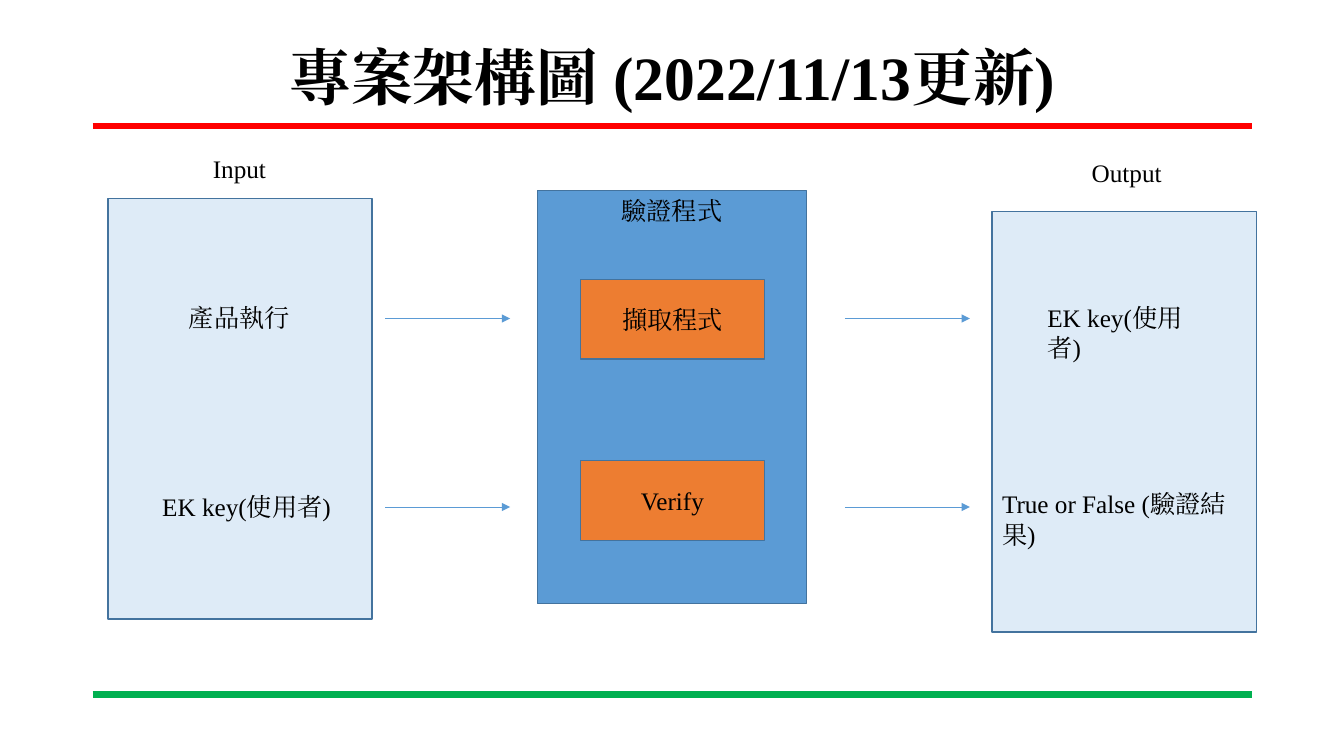
"""Build the project architecture slide: input, verification program, output."""
from lxml import etree
from pptx import Presentation
from pptx.dml.color import RGBColor
from pptx.enum import shapes, text
from pptx.oxml.ns import qn
from pptx.util import Inches, Pt

FONT = "Times New Roman"


def paint(form, tint):
    form.solid()
    form.fore_color.rgb = RGBColor.from_string(tint)


def write(shape, words, size=18, bold=False, align="CENTER", anchor="TOP", space=1.0):
    frame = shape.text_frame
    frame.word_wrap = True
    frame.vertical_anchor = text.MSO_ANCHOR[anchor]
    para = frame.paragraphs[0]
    para.alignment = text.PP_ALIGN[align]
    para.line_spacing = space
    run = para.add_run()
    run.text = words
    run.font.name = FONT
    run.font.size = Pt(size)
    run.font.bold = bold
    paint(run.font.fill, "000000")
    east = etree.SubElement(run.font._element, qn("a:ea"))
    east.set("typeface", FONT)


deck = Presentation()
deck.slide_width, deck.slide_height = Inches(13.33), Inches(7.5)
slide = deck.slides.add_slide(deck.slide_layouts[6])
tree = slide.shapes

rules = [(0.92, 12.42, 1.25, "FF0000", 4.5, False),
         (0.92, 12.42, 6.89, "00B050", 4.5, False)]
flows = [(left, left + 1.24, y, "5B9BD5", 0.5, True)
         for left in (3.82, 8.38) for y in (3.16, 5.03)]
for start, end, y, tint, width, arrow in rules + flows:
    line = tree.add_connector(shapes.MSO_CONNECTOR.STRAIGHT,
                              Inches(start), Inches(y), Inches(end), Inches(y))
    paint(line.line.fill, tint)
    line.line.width = Pt(width)
    if arrow:
        etree.SubElement(line.line._get_or_add_ln(), qn("a:tailEnd"), type="triangle")
    etree.SubElement(line._element.spPr, qn("a:effectLst"))

boxes = [(9.84, 2.1, 2.62, 4.17, "DEEBF7", "", "TOP"),
         (1.07, 1.97, 2.62, 4.17, "DEEBF7", "", "TOP"),
         (5.33, 1.89, 2.67, 4.1, "5B9BD5", "驗證程式", "TOP"),
         (5.76, 2.77, 1.82, 0.79, "ED7D31", "擷取程式", "MIDDLE"),
         (5.76, 4.57, 1.82, 0.79, "ED7D31", "Verify", "MIDDLE")]
for left, top, width, height, tint, words, anchor in boxes:
    box = tree.add_shape(shapes.MSO_SHAPE.RECTANGLE, Inches(left), Inches(top),
                         Inches(width), Inches(height))
    box.shadow.inherit = False
    paint(box.fill, tint)
    paint(box.line.fill, "43739E")
    box.line.width = Pt(1)
    if words:
        write(box, words, anchor=anchor)

head = {"size": 44, "bold": True, "anchor": "MIDDLE", "space": 0.9}
side = {"align": "LEFT"}
labels = [(0.92, 0.4, 11.5, 0.79, "專案架構圖 (2022/11/13更新)", head),
          (1.51, 1.47, 1.73, 0.4, "Input", {}),
          (1.51, 2.95, 1.73, 0.4, "產品執行", {}),
          (1.51, 4.83, 1.88, 0.4, "EK key(使用者)", side),
          (10.31, 1.51, 1.73, 0.4, "Output", {}),
          (10.29, 2.95, 1.73, 0.71, "EK key(使用者)", side),
          (9.84, 4.8, 2.67, 0.4, "True or False (驗證結果)", side)]
for left, top, width, height, words, style in labels:
    label = tree.add_textbox(Inches(left), Inches(top), Inches(width), Inches(height))
    write(label, words, **style)

deck.save("out.pptx")
